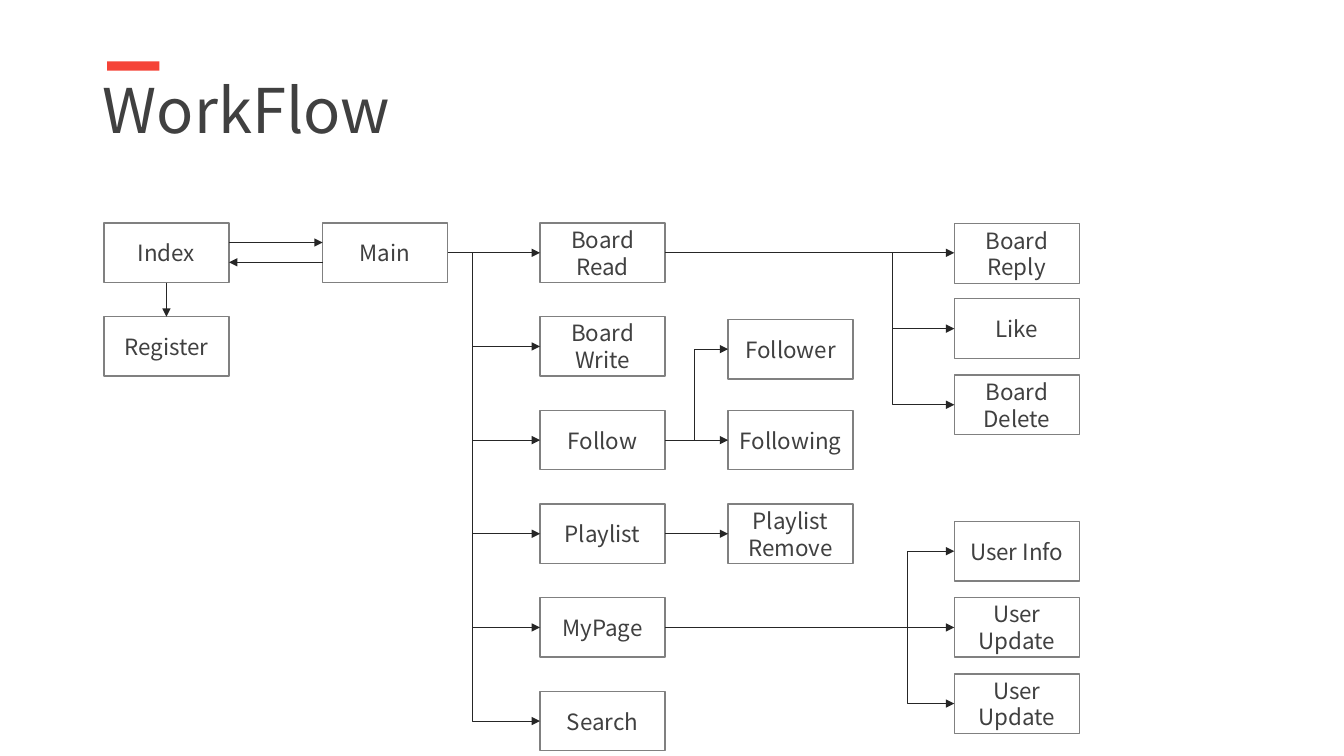
import pptx
import pptx.dml.color
import pptx.enum.shapes
import pptx.enum.text
import pptx.oxml
import pptx.oxml.ns
import pptx.util
from pptx.util import Cm

FONT = "Noto Sans CJK KR"
BOX_WIDTH, BOX_HEIGHT = 3.15, 1.5
INDEX_LEFT, MAIN_LEFT, MENU_LEFT, DETAIL_LEFT, ACTION_LEFT = 2.62, 8.13, 13.61, 18.35, 24.05
FIRST_TOP, ROW_STEP = 5.62, 2.36


def color(value):
    return pptx.dml.color.RGBColor.from_string(value)


def add_arrow(x1, y1, x2, y2):
    bent = x1 != x2 and y1 != y2
    kind = pptx.enum.shapes.MSO_CONNECTOR.STRAIGHT
    if bent:
        kind = pptx.enum.shapes.MSO_CONNECTOR.ELBOW
        middle_x, middle_y = (x1 + x2) / 2, (y1 + y2) / 2
        half_length = abs(y2 - y1) / 2
        half_depth = (x2 - x1) / 2 if y2 > y1 else (x1 - x2) / 2
        rotation = 270 if y2 > y1 else 90
        x1, x2 = middle_x + half_length, middle_x - half_length
        y1, y2 = middle_y - half_depth, middle_y + half_depth
    connector = slide.shapes.add_connector(kind, Cm(x1), Cm(y1), Cm(x2), Cm(y2))
    connector.line.color.rgb = color("262626")
    connector.line.width = pptx.util.Pt(0.5)
    properties = connector._element.spPr
    if bent:
        properties.find(pptx.oxml.ns.qn("a:xfrm")).set("rot", str(rotation * 60000))
        properties.find(pptx.oxml.ns.qn("a:prstGeom")).set("prst", "bentConnector2")
    line = properties.find(pptx.oxml.ns.qn("a:ln"))
    namespace = pptx.oxml.ns.nsdecls("a")
    line.append(pptx.oxml.parse_xml(f'<a:tailEnd {namespace} type="triangle"/>'))
    properties.append(pptx.oxml.parse_xml(f"<a:effectLst {namespace}/>"))


presentation = pptx.Presentation()
presentation.slide_width = Cm(33.87)
presentation.slide_height = Cm(19.05)
slide = presentation.slides.add_slide(presentation.slide_layouts[6])

accent = slide.shapes.add_shape(
    pptx.enum.shapes.MSO_SHAPE.RECTANGLE, Cm(2.7), Cm(1.55), Cm(1.32), Cm(0.23)
)
accent.shadow.inherit = False
accent.fill.solid()
accent.fill.fore_color.rgb = color("F54337")
accent.line.fill.background()

title = slide.shapes.add_textbox(Cm(2.34), Cm(1.02), Cm(29.21), Cm(3.68))
title.text_frame.word_wrap = True
title.text_frame.vertical_anchor = pptx.enum.text.MSO_ANCHOR.MIDDLE
paragraph = title.text_frame.paragraphs[0]
paragraph.text = "WorkFlow"
paragraph.line_spacing = 0.9
paragraph.runs[0].font.name = FONT
paragraph.runs[0].font.size = pptx.util.Pt(44)
paragraph.runs[0].font.color.rgb = color("404040")

row_tops = [FIRST_TOP + ROW_STEP * row for row in range(6)]
menu = ["Board Read", "Board Write", "Follow", "Playlist", "MyPage", "Search"]
boxes = [(name, MENU_LEFT, top) for name, top in zip(menu, row_tops)]
boxes += [
    ("Index", INDEX_LEFT, row_tops[0]),
    ("Main", MAIN_LEFT, row_tops[0]),
    ("Register", INDEX_LEFT, row_tops[1]),
    ("Follower", DETAIL_LEFT, 8.05),
    ("Following", DETAIL_LEFT, row_tops[2]),
    ("Playlist Remove", DETAIL_LEFT, row_tops[3]),
    ("Board Reply", ACTION_LEFT, 5.64),
    ("Like", ACTION_LEFT, 7.53),
    ("Board Delete", ACTION_LEFT, 9.45),
    ("User Info", ACTION_LEFT, 13.14),
    ("User Update", ACTION_LEFT, 15.06),
    ("User Update", ACTION_LEFT, 16.98),
]
for name, left, top in boxes:
    box = slide.shapes.add_shape(
        pptx.enum.shapes.MSO_SHAPE.RECTANGLE, Cm(left), Cm(top), Cm(BOX_WIDTH), Cm(BOX_HEIGHT)
    )
    box.shadow.inherit = False
    box.fill.background()
    box.line.color.rgb = color("808080")
    box.line.width = pptx.util.Pt(1)
    box.text_frame.text = name
    box.text_frame.word_wrap = True
    box.text_frame.vertical_anchor = pptx.enum.text.MSO_ANCHOR.MIDDLE
    paragraph = box.text_frame.paragraphs[0]
    paragraph.alignment = pptx.enum.text.PP_ALIGN.CENTER
    font = paragraph.runs[0].font
    font.name = FONT
    font.size = pptx.util.Pt(16)
    font.color.rgb = color("404040")

row_middles = [top + BOX_HEIGHT / 2 for top in row_tops]
board_y, write_y, follow_y, playlist_y, my_page_y, search_y = row_middles
index_right = INDEX_LEFT + BOX_WIDTH
index_middle = INDEX_LEFT + BOX_WIDTH / 2
menu_right = MENU_LEFT + BOX_WIDTH
menu_trunk, follow_trunk, board_trunk, user_trunk = 11.91, 17.5, 22.48, 22.86

arrows = [
    (index_right, board_y - 0.26, MAIN_LEFT, board_y - 0.26),
    (MAIN_LEFT, board_y + 0.24, index_right, board_y + 0.24),
    (index_middle, row_tops[0] + BOX_HEIGHT, index_middle, row_tops[1]),
    (MAIN_LEFT + BOX_WIDTH, board_y, MENU_LEFT, board_y),
    (menu_trunk, board_y, MENU_LEFT, search_y),
    (menu_right, board_y, ACTION_LEFT, board_y),
    (board_trunk, board_y, ACTION_LEFT, 10.2),
    (board_trunk, 8.28, ACTION_LEFT, 8.28),
    (menu_right, follow_y, DETAIL_LEFT, follow_y),
    (follow_trunk, follow_y, DETAIL_LEFT, 8.8),
    (menu_right, playlist_y, DETAIL_LEFT, playlist_y),
    (menu_right, my_page_y, ACTION_LEFT, my_page_y),
    (user_trunk, my_page_y, ACTION_LEFT, 13.89),
    (user_trunk, my_page_y, ACTION_LEFT, 17.73),
]
arrows += [(menu_trunk, y, MENU_LEFT, y) for y in row_middles[1:5]]
for arrow in arrows:
    add_arrow(*arrow)

presentation.save("out.pptx")
